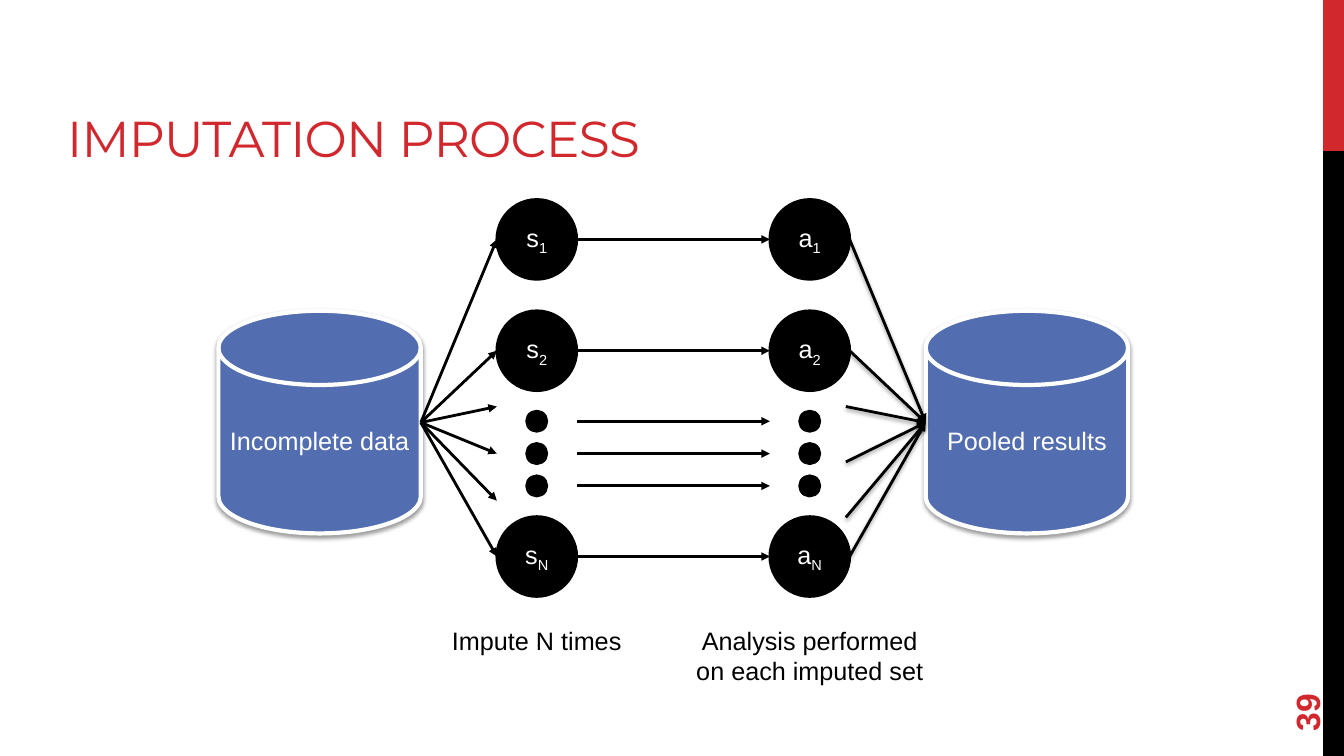
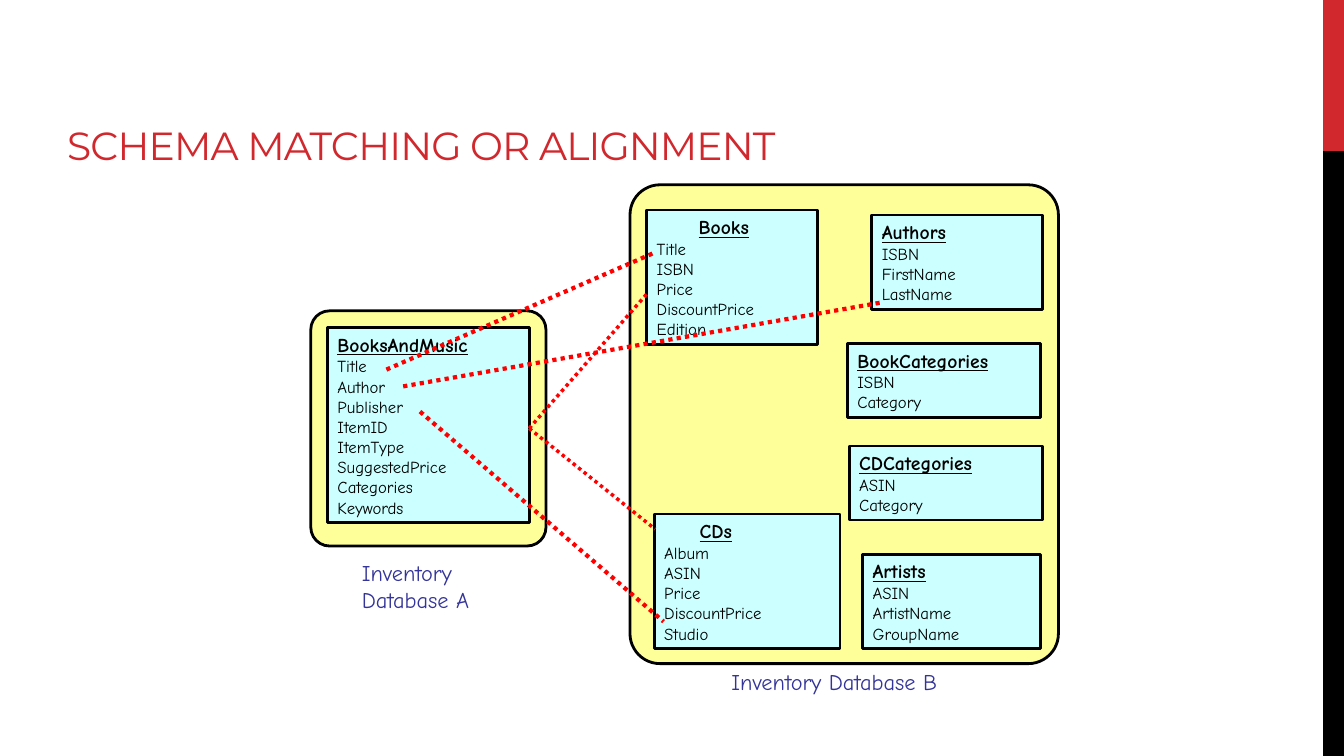
from dataclasses import dataclass

from lxml.etree import SubElement
from pptx import Presentation
from pptx.dml.color import RGBColor
from pptx.enum.dml import MSO_LINE
from pptx.enum.shapes import MSO_CONNECTOR, MSO_SHAPE
from pptx.enum.text import MSO_ANCHOR, MSO_AUTO_SIZE, PP_ALIGN
from pptx.oxml.ns import qn
from pptx.util import Inches, Pt


@dataclass(frozen=True)
class Theme:
    red: str = "D1282E"
    black: str = "000000"
    white: str = "FFFFFF"
    disk: str = "526DB0"
    panel: str = "FFFF99"
    table: str = "CCFFFF"
    match: str = "FF0000"
    caption: str = "333399"
    title_font: str = "Montserrat"
    body_font: str = "Arial"
    schema_font: str = "Comic Neue"
    number_size: int = 24
    body_size: int = 18
    caption_size: int = 16
    heading_size: int = 14
    field_size: int = 12


THEME = Theme()
SLIDE_WIDTH, SLIDE_HEIGHT = Inches(13.333), Inches(7.5)
COLUMNS, ROWS = 160, 90
BAND_LEFT, BAND_SPLIT = 157.5, 18


def col(count):
    return round(SLIDE_WIDTH * count / COLUMNS)


def row(count):
    return round(SLIDE_HEIGHT * count / ROWS)


def box(left, top, width, height):
    return col(left), row(top), col(width), row(height)


def style_runs(paragraph, size, color, font, bold=False, underline=False):
    for run in paragraph.runs:
        run.font.name = font
        run.font.size = Pt(size)
        run.font.bold = bold
        run.font.underline = underline
        run.font.color.rgb = RGBColor.from_string(color)


def add_shadow(effects):
    shadow = SubElement(effects, qn("a:outerShdw"), blurRad=str(Pt(3.1)),
                        dist=str(Pt(1.6)), dir="5400000", rotWithShape="0")
    color = SubElement(shadow, qn("a:srgbClr"), val=THEME.black)
    SubElement(color, qn("a:alpha"), val="38000")


def add_block(slide, kind, place, fill, line=None, weight=2):
    block = slide.shapes.add_shape(kind, *box(*place))
    block.fill.solid()
    block.fill.fore_color.rgb = RGBColor.from_string(fill)
    if line:
        block.line.color.rgb = RGBColor.from_string(line)
        block.line.width = Pt(weight)
    else:
        block.line.fill.background()
    block.shadow.inherit = False
    return block


def add_line(slide, start, end, color, weight, shadow=False):
    line = slide.shapes.add_connector(
        MSO_CONNECTOR.STRAIGHT, col(start[0]), row(start[1]), col(end[0]), row(end[1]))
    line.line.color.rgb = RGBColor.from_string(color)
    line.line.width = Pt(weight)
    effects = SubElement(line.element.spPr, qn("a:effectLst"))
    if shadow:
        add_shadow(effects)
    return line


def add_arrow(slide, start, end, shadow=False):
    arrow = add_line(slide, start, end, THEME.black, 2, shadow)
    SubElement(arrow.element.spPr.find(qn("a:ln")), qn("a:tailEnd"), type="triangle")


def add_match(slide, start, end, weight):
    match = add_line(slide, start, end, THEME.match, weight)
    match.line.dash_style = MSO_LINE.ROUND_DOT


def add_label(slide, text, place, size, color, font, align=PP_ALIGN.LEFT, bold=False):
    label = slide.shapes.add_textbox(*box(*place))
    label.text_frame.word_wrap = True
    label.text_frame.text = text
    for paragraph in label.text_frame.paragraphs:
        paragraph.alignment = align
        style_runs(paragraph, size, color, font, bold)
    return label


def add_bands(slide, layout):
    """Draw the side bands and hand them to the layout that all slides use."""
    width = COLUMNS - BAND_LEFT
    for top, bottom, color in ((0, BAND_SPLIT, THEME.red), (BAND_SPLIT, ROWS, THEME.black)):
        band = add_block(slide, MSO_SHAPE.RECTANGLE,
                         (BAND_LEFT, top, width, bottom - top), color)
        layout.shapes.element.append(band.element)


def add_titled_slide(deck, layout, text, size):
    slide = deck.slides.add_slide(layout)
    title = slide.shapes.title
    title.left, title.top, title.width, title.height = box(8, 2, 101.3, 18)
    frame = title.text_frame
    frame.margin_left = frame.margin_right = frame.margin_top = frame.margin_bottom = 0
    frame.vertical_anchor = MSO_ANCHOR.BOTTOM
    frame.auto_size = MSO_AUTO_SIZE.NONE
    frame.word_wrap = True
    frame.text = text
    heading = frame.paragraphs[0]
    heading.alignment = PP_ALIGN.LEFT
    style_runs(heading, size, THEME.red, THEME.title_font)
    for run in heading.runs:
        run._r.get_or_add_rPr().set("spc", "-60")
    return slide


def add_disk(slide, left, text):
    disk = add_block(slide, MSO_SHAPE.FLOWCHART_MAGNETIC_DISK,
                     (left, 37, 24.1, 26.5), THEME.disk, THEME.white, 3)
    add_shadow(disk.element.spPr.find(qn("a:effectLst")))
    disk.text_frame.text = text
    disk.text_frame.paragraphs[0].alignment = PP_ALIGN.CENTER
    style_runs(disk.text_frame.paragraphs[0], THEME.body_size, THEME.white, THEME.body_font)


def add_circle(slide, x, y, radius):
    return add_block(slide, MSO_SHAPE.OVAL, (x - radius, y - radius, 2 * radius, 2 * radius),
                     THEME.black, THEME.black)


def add_node(slide, x, y, radius, letter, index):
    node = add_circle(slide, x, y, radius)
    paragraph = node.text_frame.paragraphs[0]
    paragraph.alignment = PP_ALIGN.CENTER
    paragraph.add_run().text = letter
    subscript = paragraph.add_run()
    subscript.text = index
    style_runs(paragraph, THEME.body_size, THEME.white, THEME.body_font)
    subscript._r.get_or_add_rPr().set("baseline", "-25000")


def draw_imputation(slide):
    radius, dot_radius = 4.75, 1.2
    nodes = {"1": 28.5, "2": 41.75, "N": 66.25}
    dots = [50.15 + 3.85 * step for step in range(3)]
    sets, analyses = 63.9, 96.4
    source, pool, hub = 50.1, 110.2, 50.3

    add_disk(slide, 26, "Incomplete data")
    add_disk(slide, pool, "Pooled results")

    for y in nodes.values():
        add_arrow(slide, (analyses + radius, y), (pool, hub), shadow=True)
        add_arrow(slide, (source, hub), (sets - radius, y))
    for step in range(3):
        add_arrow(slide, (analyses + 4.3, 48.4 + 6.6 * step), (pool, hub), shadow=True)
        add_arrow(slide, (source, hub), (sets - radius, 48.4 + 5.6 * step))
    for y in [*nodes.values(), *dots]:
        add_arrow(slide, (sets + radius, y), (analyses - radius, y))

    for x, letter, caption in ((sets, "s", "Impute N times"),
                               (analyses, "a", "Analysis performed on each imputed set")):
        for index, y in nodes.items():
            add_node(slide, x, y, radius, letter, index)
        for y in dots:
            add_circle(slide, x, y, dot_radius)
        add_label(slide, caption, (x - 15.5, 73.8, 31, 8.4), THEME.body_size,
                  THEME.black, THEME.body_font, PP_ALIGN.CENTER)

    number = add_label(slide, "39", (146.9, 76.4, 17.3, 6.4), THEME.number_size,
                       THEME.red, THEME.body_font, bold=True)
    number.text_frame.vertical_anchor = MSO_ANCHOR.MIDDLE
    number.rotation = 270


def add_panel(slide, place, corner):
    panel = add_block(slide, MSO_SHAPE.ROUNDED_RECTANGLE, place, THEME.panel, THEME.black)
    panel.adjustments[0] = corner


def indent_heading(paragraph, indent, rule_end):
    """Indent a heading and set the tab stop up to which its underline runs."""
    properties = paragraph._p.get_or_add_pPr()
    properties.set("marL", str(col(indent)))
    properties.set("indent", "0")
    stops = SubElement(properties, qn("a:tabLst"))
    SubElement(stops, qn("a:tab"), pos=str(col(rule_end)), algn="l")


def add_schema(slide, left, top, width, name, fields, heading_tab=None):
    names = fields.split()
    schema = add_block(slide, MSO_SHAPE.RECTANGLE,
                       (left, top, width, 4 + 2.4 * len(names)), THEME.table, THEME.black)
    frame = schema.text_frame
    frame.vertical_anchor = MSO_ANCHOR.TOP
    frame.text = "\n".join([name + ("\t" if heading_tab else ""), *names])
    heading, *rows = frame.paragraphs
    if heading_tab:
        indent_heading(heading, *heading_tab)
    heading.alignment = PP_ALIGN.LEFT
    style_runs(heading, THEME.heading_size, THEME.black, THEME.schema_font, True, True)
    for field in rows:
        field.alignment = PP_ALIGN.LEFT
        style_runs(field, THEME.field_size, THEME.black, THEME.schema_font)


def draw_schema_matching(slide):
    add_panel(slide, (75, 22, 51, 57), 0.07)
    add_panel(slide, (37, 37, 28, 28), 0.08)

    schemas = (
        (39, 39, 24, "BooksAndMusic",
         "Title Author Publisher ItemID ItemType SuggestedPrice Categories Keywords"),
        (77, 25, 20.3, "Books", "Title ISBN Price DiscountPrice Edition", (5, 16.7)),
        (77.9, 61.2, 22.1, "CDs", "Album ASIN Price DiscountPrice Studio", (4.2, 13.9)),
        (100.9, 40.9, 23, "BookCategories", "ISBN Category"),
        (101.1, 53.1, 23, "CDCategories", "ASIN Category"),
        (102.7, 66, 21.2, "Artists", "ASIN ArtistName GroupName"),
        (103.8, 25.6, 20.3, "Authors", "ISBN FirstName LastName"),
    )
    for schema in schemas:
        add_schema(slide, *schema)

    for start, end, weight in (
        ((46, 44), (78.1, 30), 3),
        ((50, 49), (79, 74), 3),
        ((48, 46), (105, 36), 3),
        ((63, 51), (77, 35), 2.5),
        ((63, 51), (78, 63), 2.5),
    ):
        add_match(slide, start, end, weight)

    for caption, place in (("Inventory\nDatabase A", (41.9, 66, 23, 7.6)),
                           ("Inventory Database B", (85.9, 79, 33, 4.4))):
        add_label(slide, caption, place, THEME.caption_size, THEME.caption, THEME.schema_font)


def main():
    deck = Presentation()
    deck.slide_width, deck.slide_height = SLIDE_WIDTH, SLIDE_HEIGHT
    layout = deck.slide_layouts[5]
    imputation = add_titled_slide(deck, layout, "IMPUTATION PROCESS", 36)
    add_bands(imputation, layout)
    draw_imputation(imputation)
    matching = add_titled_slide(deck, layout, "SCHEMA MATCHING OR ALIGNMENT", 28)
    draw_schema_matching(matching)
    deck.save("out.pptx")


if __name__ == "__main__":
    main()
